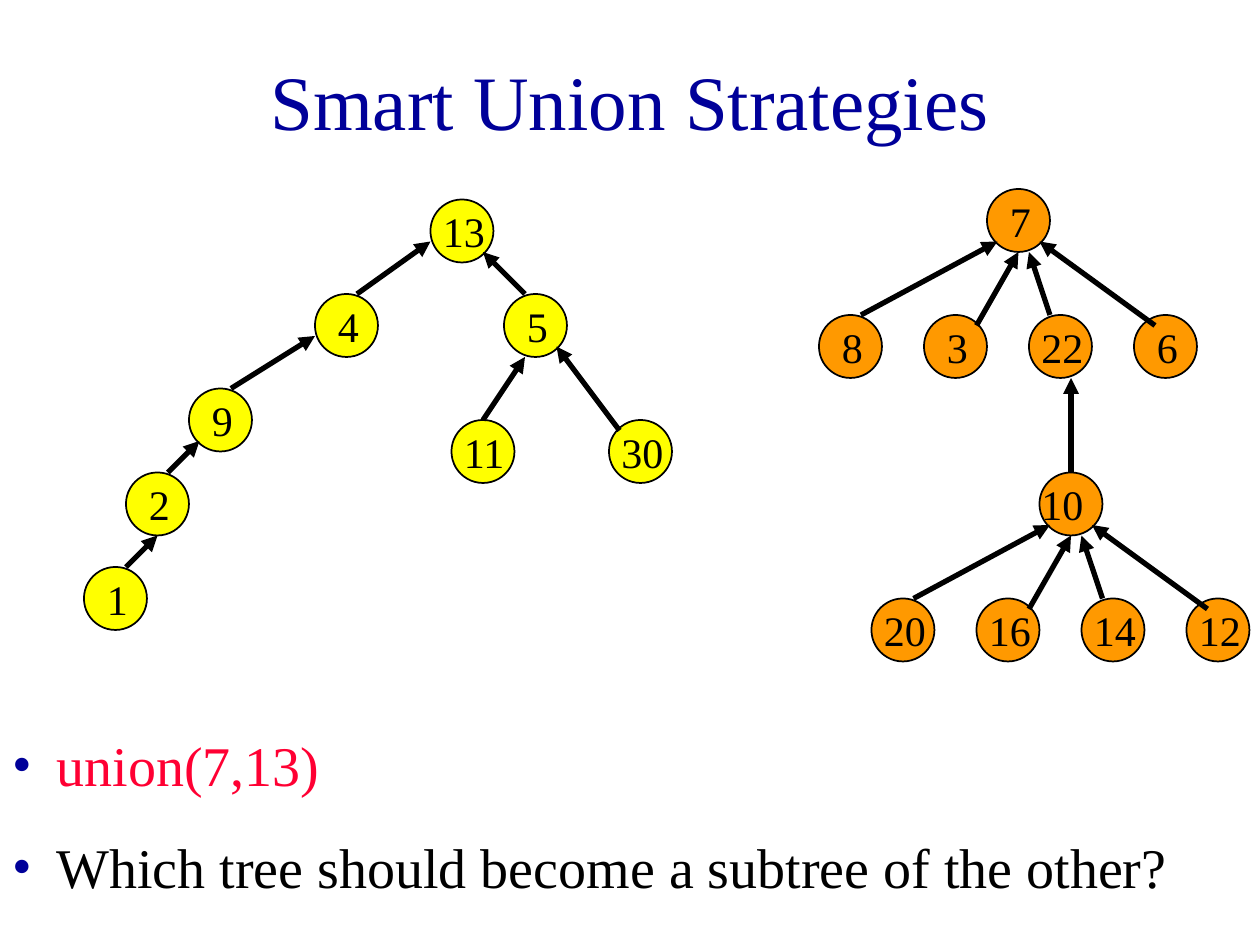
from lxml.etree import SubElement
from pptx import Presentation
from pptx.dml.color import RGBColor
from pptx.enum.shapes import MSO_CONNECTOR, MSO_SHAPE
from pptx.enum.text import MSO_ANCHOR, PP_ALIGN
from pptx.oxml.ns import qn
from pptx.util import Pt

PX = 7620  # EMU in one px, 120 px to the inch
FONT = "Times New Roman"
NAVY = RGBColor(0x00, 0x00, 0x99)
RED = RGBColor(0xFF, 0x00, 0x33)
BLACK = RGBColor(0, 0, 0)
YELLOW = RGBColor(0xFF, 0xFF, 0x00)
ORANGE = RGBColor(0xFF, 0x99, 0x00)
SIZE = 60  # node diameter

# Label, left, top
LEFT_NODES = [
    ("13", 410, 190), ("4", 300, 280), ("5", 480, 280), ("9", 180, 370),
    ("2", 120, 450), ("1", 80, 540), ("11", 430, 400), ("30", 580, 400),
]
# Parent end, child end
LEFT_EDGES = [
    ((410, 230), (340, 280)), ((300, 320), (220, 370)),
    ((460, 240), (500, 280)), ((190, 420), (160, 450)),
    ((500, 340), (460, 400)), ((530, 330), (590, 410)),
    ((150, 510), (120, 540)),
]
# Ends measured from the top left of the fan's root
FAN_EDGES = [
    ((10, 50), (-120, 120)), ((30, 60), (-10, 130)),
    ((40, 60), (60, 120)), ((50, 50), (160, 130)),
]


def add_box(slide, left, top, width, height):
    box = slide.shapes.add_textbox(left * PX, top * PX, width * PX, height * PX)
    box.text_frame.word_wrap = True
    return box.text_frame


def add_run(para, text, size, color):
    run = para.add_run()
    run.text = text
    run.font.name = FONT
    run.font.size = Pt(size)
    run.font.color.rgb = color


def add_title(slide, text):
    frame = add_box(slide, 90, 20, 1020, 150)
    frame.vertical_anchor = MSO_ANCHOR.MIDDLE
    para = frame.paragraphs[0]
    para.alignment = PP_ALIGN.CENTER
    add_run(para, text, 44, NAVY)


def add_node(slide, label, left, top, fill, shift=None):
    """Draw a circle with its label; shift moves the label sideways."""
    disc = slide.shapes.add_shape(
        MSO_SHAPE.OVAL, left * PX, top * PX, SIZE * PX, SIZE * PX)
    disc.shadow.inherit = False
    disc.fill.solid()
    disc.fill.fore_color.rgb = fill
    disc.line.color.rgb = BLACK
    disc.line.width = Pt(1)
    if shift is None:
        shift = 10 if len(label) == 1 else 0
    frame = add_box(slide, left + shift, top, 40 * len(label), SIZE)
    add_run(frame.paragraphs[0], label, 24, BLACK)


def add_edge(slide, parent, child):
    """Draw a line from child to parent, with the arrowhead at the parent."""
    ends = [value * PX for value in (*parent, *child)]
    edge = slide.shapes.add_connector(MSO_CONNECTOR.STRAIGHT, *ends)
    edge.line.color.rgb = BLACK
    edge.line.width = Pt(3)
    SubElement(edge.line._get_or_add_ln(), qn("a:headEnd"), type="triangle")
    SubElement(edge._element.spPr, qn("a:effectLst"))


def add_fan(slide, root, left, top, kids, shift=None):
    """Draw a root with four children in a row below it."""
    add_node(slide, root, left, top, ORANGE, shift)
    for i, kid in enumerate(kids):
        add_node(slide, kid, left - 160 + 100 * i, top + 120, ORANGE)
    for (px, py), (cx, cy) in FAN_EDGES:
        add_edge(slide, (left + px, top + py), (left + cx, top + cy))


def add_bullets(slide, items):
    frame = add_box(slide, 0, 690, 1160, 174)
    for i, (text, color) in enumerate(items):
        para = frame.add_paragraph() if i else frame.paragraphs[0]
        para.space_before = Pt(20)
        props = para._p.get_or_add_pPr()
        props.set("marL", str(42 * PX))
        props.set("indent", str(-42 * PX))
        tint = SubElement(props, qn("a:buClr"))
        SubElement(tint, qn("a:srgbClr"), val=str(NAVY))
        SubElement(props, qn("a:buFont"), typeface=FONT)
        SubElement(props, qn("a:buChar"), char="•")
        add_run(para, text, 32, color)


def main():
    deck = Presentation()
    deck.slide_width = 1200 * PX
    deck.slide_height = 900 * PX
    slide = deck.slides.add_slide(deck.slide_layouts[6])
    add_title(slide, "Smart Union Strategies")
    for label, left, top in LEFT_NODES:
        add_node(slide, label, left, top, YELLOW)
    for parent, child in LEFT_EDGES:
        add_edge(slide, parent, child)
    add_fan(slide, "7", 940, 180, ["8", "3", "22", "6"])
    add_fan(slide, "10", 990, 450, ["20", "16", "14", "12"], shift=-10)
    add_edge(slide, (1020, 360), (1020, 450))
    add_bullets(slide, [
        ("union(7,13)", RED),
        ("Which tree should become a subtree of the other?", BLACK),
    ])
    deck.save("out.pptx")


if __name__ == "__main__":
    main()
